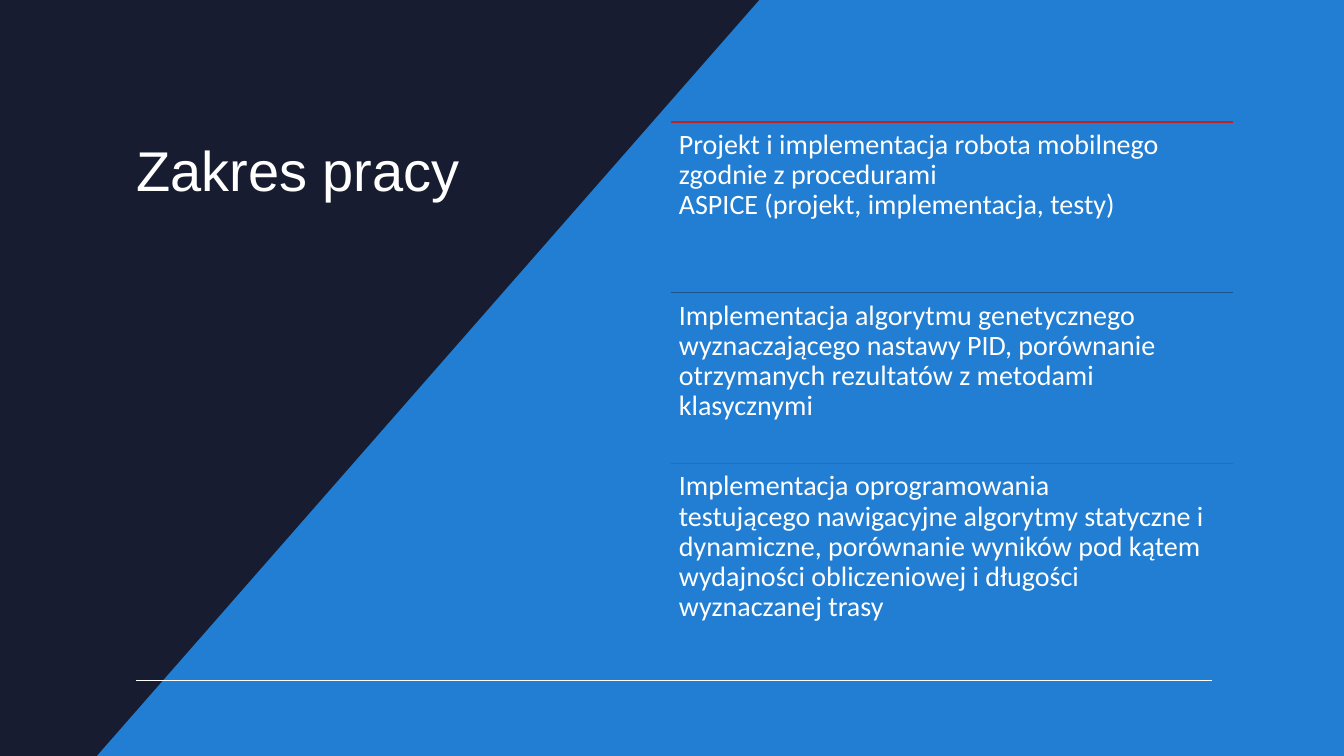
"""Build the slide on the scope of the work."""
from dataclasses import dataclass

from lxml import etree
from pptx import Presentation
from pptx.dml.color import RGBColor
from pptx.enum.shapes import MSO_CONNECTOR, MSO_SHAPE
from pptx.enum.text import MSO_ANCHOR, PP_ALIGN
from pptx.oxml.ns import qn
from pptx.util import Inches, Pt

LINE = MSO_CONNECTOR.STRAIGHT
RECT = MSO_SHAPE.RECTANGLE
TOP = MSO_ANCHOR.TOP
LEFT = PP_ALIGN.LEFT
WIDE, HIGH = 13.33, 7.5
HARD = chr(160)


@dataclass(frozen=True)
class Theme:
    """Hold the colours, fonts and type sizes."""
    back: str = "000000"
    blue: str = "217ED3"
    dark: str = "181C30"
    white: str = "FFFFFF"
    red: str = "B92525"
    navy: str = "18558C"
    green: str = "1D8B35"
    head: str = "Arial"
    body: str = "Calibri"
    big: int = 40
    small: int = 20
    rule: int = 1


@dataclass(frozen=True)
class Box:
    """Hold a place as percent shares of the slide."""
    x: float
    y: float
    w: float
    h: float


@dataclass(frozen=True)
class Goal:
    """Hold the text of a goal and the colour of its rule."""
    text: str
    tint: str


THEME = Theme()
TITLE = Box(9.4, 17.2, 28.96, 22.8)
LIST = Box(49.91, 16.13, 41.86, 67.8)
FOOT = Box(10.13, 90, 80.04, 0)
WEDGE = ((0, 0), (56.49, 0), (7.2, 100), (0, 100))
GOALS = (
    Goal("Projekt i implementacja robota mobilnego zgodnie z procedurami "
         + HARD.join(("ASPICE", "(projekt,", "implementacja,", "testy)")),
         THEME.red),
    Goal("Implementacja algorytmu genetycznego wyznaczającego nastawy PID, "
         "porównanie otrzymanych rezultatów z metodami klasycznymi",
         THEME.navy),
    Goal("Implementacja oprogramowania "
         + HARD.join(("testującego", "nawigacyjne"))
         + " algorytmy statyczne i dynamiczne, porównanie wyników pod kątem "
         "wydajności obliczeniowej i długości wyznaczanej trasy",
         THEME.green),
)


def across(share: float) -> int:
    """Turn a share of the width into a length."""
    return Inches(WIDE * share / 100)


def down(share: float) -> int:
    """Turn a share of the height into a length."""
    return Inches(HIGH * share / 100)


def paint(shape, tint: str) -> None:
    """Give a shape a flat fill without outline or shadow."""
    shape.shadow.inherit = False
    shape.fill.solid()
    shape.fill.fore_color.rgb = RGBColor.from_string(tint)
    shape.line.fill.background()


def ink(shape, tint: str) -> None:
    """Give a shape or connector a thin coloured line."""
    shape.line.color.rgb = RGBColor.from_string(tint)
    shape.line.width = Pt(THEME.rule)


def trace(slide, spots: tuple[tuple[float, float], ...], tint: str, *,
          close: bool):
    """Draw a filled outline through points given as shares."""
    ends = [(across(x), down(y)) for x, y in spots]
    pen = slide.shapes.build_freeform(*ends[0])
    pen.add_line_segments(ends[1:], close=close)
    shape = pen.convert_to_shape()
    paint(shape, tint)
    return shape


def write(slide, text: str, box: Box, *, font: str, size: int,
          pad: tuple[float, float], lead: float = 1, after: int = 0) -> None:
    """Write one wrapped paragraph in a box."""
    frame = slide.shapes.add_textbox(
        across(box.x), down(box.y), across(box.w), down(box.h)).text_frame
    frame.word_wrap = True
    frame.vertical_anchor = TOP
    frame.margin_left = frame.margin_right = Inches(pad[0])
    frame.margin_top = frame.margin_bottom = Inches(pad[1])
    para = frame.paragraphs[0]
    para.alignment = LEFT
    para.line_spacing = lead
    para.space_after = Pt(after)
    run = para.add_run()
    run.text = text
    run.font.name = font
    run.font.size = Pt(size)
    run.font.color.rgb = RGBColor.from_string(THEME.white)


def draw_back(slide) -> None:
    """Draw the blue ground and the dark wedge."""
    fill = slide.background.fill
    fill.solid()
    fill.fore_color.rgb = RGBColor.from_string(THEME.back)
    ground = slide.shapes.add_shape(RECT, 0, 0, across(100), down(100))
    paint(ground, THEME.blue)
    trace(slide, WEDGE, THEME.dark, close=True)


def draw_foot(slide) -> None:
    """Draw the white line at the foot."""
    foot = slide.shapes.add_connector(
        LINE, across(FOOT.x), down(FOOT.y),
        across(FOOT.x + FOOT.w), down(FOOT.y))
    ink(foot, THEME.white)
    etree.SubElement(foot.line._get_or_add_ln().getparent(),
                     qn("a:effectLst"))


def draw_goals(slide) -> None:
    """Draw the goals in equal rows, each under its rule."""
    step = LIST.h / len(GOALS)
    for row, goal in enumerate(GOALS):
        box = Box(LIST.x, LIST.y + row * step, LIST.w, step)
        ends = ((box.x, box.y), (box.x + box.w, box.y))
        ink(trace(slide, ends, goal.tint, close=False), goal.tint)
        write(slide, goal.text, box, font=THEME.body, size=THEME.small,
              pad=(0.08, 0.08), lead=0.9, after=8)


def main() -> None:
    """Build and save the slide."""
    deck = Presentation()
    deck.slide_width, deck.slide_height = across(100), down(100)
    slide = deck.slides.add_slide(deck.slide_layouts[6])
    draw_back(slide)
    write(slide, HARD.join(("Zakres", "pracy")), TITLE, font=THEME.head,
          size=THEME.big, pad=(0.1, 0.05))
    draw_foot(slide)
    draw_goals(slide)
    deck.save("out.pptx")


if __name__ == "__main__":
    main()
